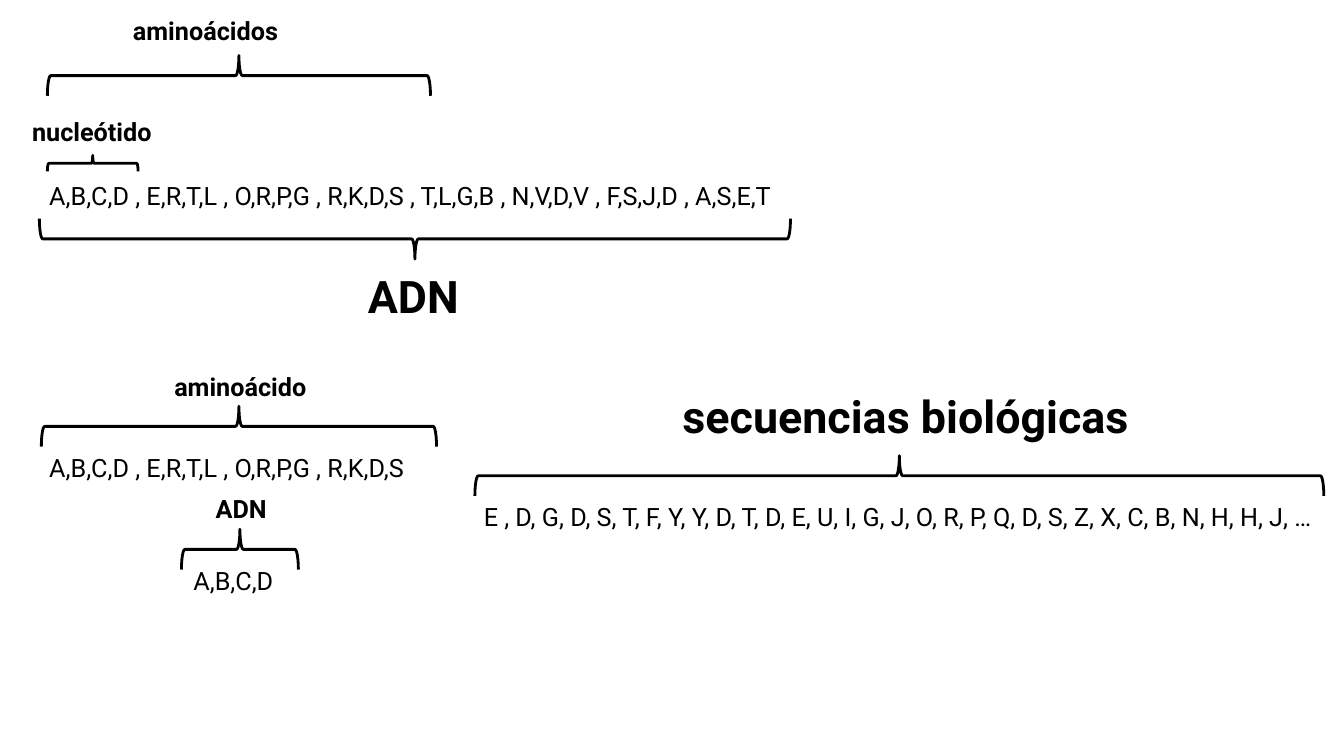
from dataclasses import dataclass

from pptx import Presentation
from pptx.dml.color import RGBColor
from pptx.enum.shapes import MSO_SHAPE
from pptx.enum.text import MSO_AUTO_SIZE
from pptx.util import Inches, Pt

BRACE = MSO_SHAPE.RIGHT_BRACE
GROW = MSO_AUTO_SIZE.SHAPE_TO_FIT_TEXT
POINT_UP, POINT_DOWN = 270, 90
BLANK_LAYOUT = 6


@dataclass(frozen=True)
class Theme:
    font: str = "Roboto"
    ink: RGBColor = RGBColor(0, 0, 0)
    paper: RGBColor = RGBColor(255, 255, 255)
    body: int = 18
    heading: int = 32
    line: int = 2
    body_height: float = 0.4
    heading_height: float = 0.64
    brace_height: float = 0.4


THEME = Theme()


def add_text(page, left, top, width, text, size=THEME.body, bold=False, wrap=True):
    height = THEME.heading_height if size == THEME.heading else THEME.body_height
    box = page.shapes.add_textbox(Inches(left), Inches(top), Inches(width), Inches(height))
    frame = box.text_frame
    frame.word_wrap = wrap
    frame.auto_size = GROW
    span = frame.paragraphs[0].add_run()
    span.text = text
    span.font.name = THEME.font
    span.font.size = Pt(size)
    span.font.bold = bold
    span.font.color.rgb = THEME.ink


def add_brace(page, left, top, width, height=THEME.brace_height, turn=POINT_UP):
    """Place a horizontal brace; left, top, width and height are as seen."""
    # The unrotated shape stands upright around the same centre
    shift = (width - height) / 2
    brace = page.shapes.add_shape(
        BRACE, Inches(left + shift), Inches(top - shift), Inches(height), Inches(width))
    brace.rotation = turn
    brace.shadow.inherit = False
    brace.fill.background()
    brace.line.color.rgb = THEME.ink
    brace.line.width = Pt(THEME.line)


def add_full_strand(page, left, top):
    # Letters of the whole strand
    add_text(page, left, top + 1.64, 7.64,
             "A,B,C,D , E,R,T,L , O,R,P,G , R,K,D,S , T,L,G,B , N,V,D,V , F,S,J,D , A,S,E,T",
             wrap=False)
    # Nucleotide, amino acids, then the strand as a whole
    add_brace(page, left + 0.08, top + 1.44, 0.9, height=0.16)
    add_text(page, left - 0.17, top + 1.01, 1.58, "nucleótido", bold=True)
    add_brace(page, left + 0.08, top + 0.45, 3.8)
    add_text(page, left + 0.83, top, 1.75, "aminoácidos", bold=True)
    add_brace(page, left, top + 2.07, 7.45, turn=POINT_DOWN)
    add_text(page, left + 3.16, top + 2.52, 1.16, "ADN", THEME.heading, bold=True)


def add_amino_acid(page, left, top):
    # Amino acid
    add_text(page, left + 1.24, top, 1.55, "aminoácido", bold=True)
    add_brace(page, left + 0.02, top + 0.4, 3.92)
    add_text(page, left, top + 0.81, 3.94, "A,B,C,D , E,R,T,L , O,R,P,G , R,K,D,S", wrap=False)
    # DNA
    add_text(page, left + 1.65, top + 1.21, 0.76, "ADN", bold=True)
    add_brace(page, left + 1.41, top + 1.62, 1.16)
    add_text(page, left + 1.43, top + 1.93, 1.16, "A,B,C,D")


def add_biological_sequences(page, left, top):
    add_text(page, left + 1.97, top, 5.01, "secuencias biológicas", THEME.heading, bold=True)
    add_brace(page, left + 0.01, top + 0.71, 8.42)
    add_text(page, left, top + 1.11, 8.57,
             "E , D, G, D, S, T, F, Y, Y, D, T, D, E, U, I, G, J, O, R, P, Q, D, S, Z, X, C, "
             "B, N, H, H, J, …", wrap=False)


def main():
    deck = Presentation()
    deck.slide_width, deck.slide_height = Inches(13.33), Inches(7.5)
    page = deck.slides.add_slide(deck.slide_layouts[BLANK_LAYOUT])
    page.background.fill.solid()
    page.background.fill.fore_color.rgb = THEME.paper
    add_full_strand(page, left=0.39, top=0.1)
    add_amino_acid(page, left=0.39, top=3.63)
    add_biological_sequences(page, left=4.7, top=3.81)
    deck.save("out.pptx")


if __name__ == "__main__":
    main()
